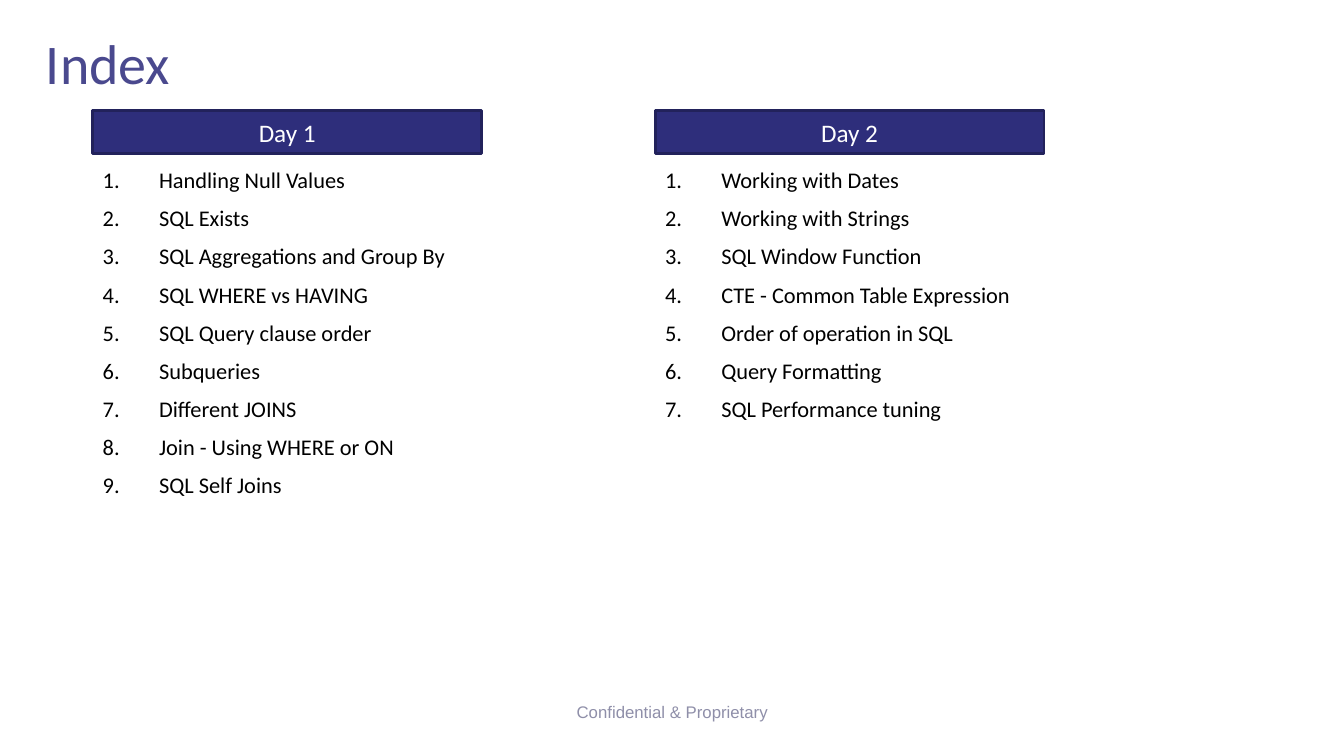
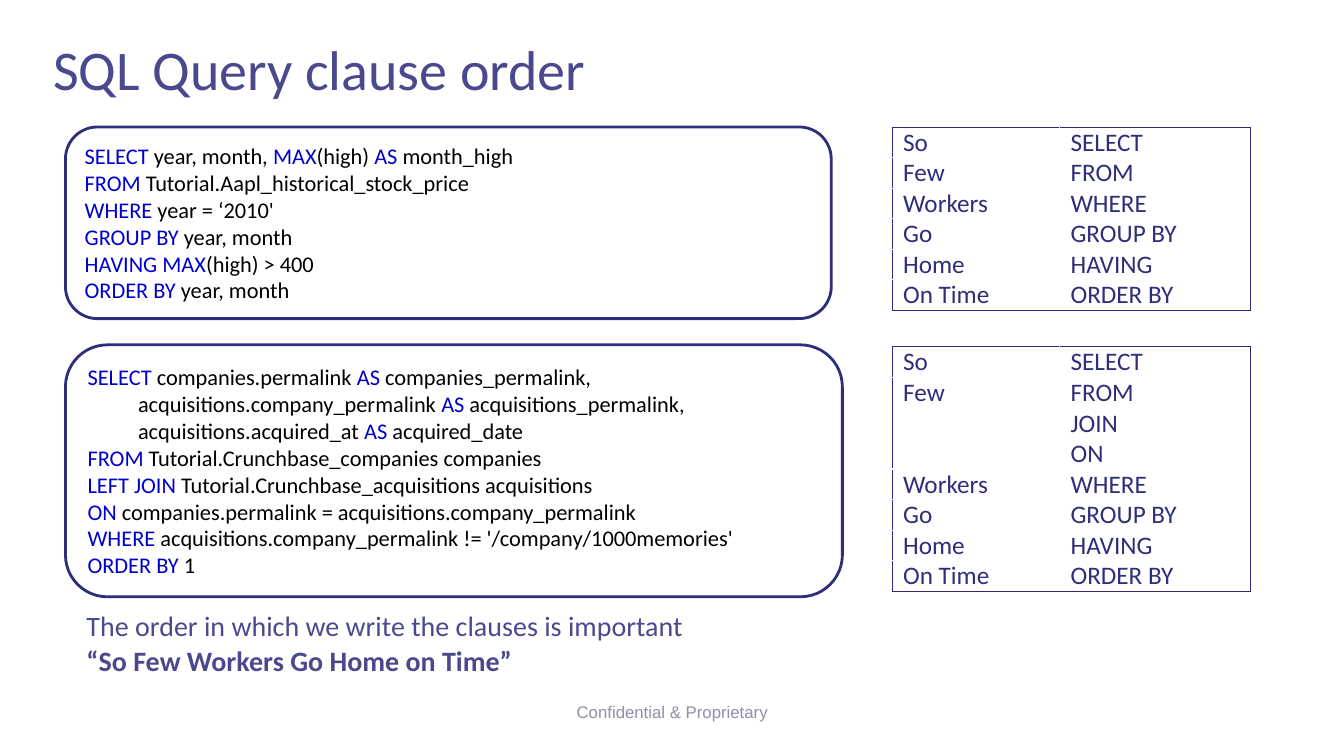
from dataclasses import dataclass

from lxml.etree import SubElement
from pptx import Presentation
from pptx.dml.color import RGBColor
from pptx.enum.shapes import MSO_SHAPE as Preset
from pptx.enum.text import MSO_ANCHOR as Anchor, PP_ALIGN as Align
from pptx.oxml.ns import qn
from pptx.shapes.autoshape import Shape
from pptx.slide import Slide
from pptx.table import _Cell as Cell
from pptx.util import Cm, Pt

# Shared style
NAVY, DARK_NAVY, BORDER = "2E2E7B", "22225B", "2B2B7A"
TITLE_COLOUR, FOOTER_COLOUR = "4A498E", "8F8FA9"
KEYWORD, BLACK, WHITE = "0000CD", "000000", "FFFFFF"
BODY_FONT, FOOTER_FONT = "Calibri", "Arial"
HANGING = Cm(1.42)
TABLE_LEFT, TABLE_COLUMNS = 22.48, (4.22, 4.8)
ROW_HEIGHT = 0.77


@dataclass(frozen=True)
class Box:
    left: float
    top: float
    width: float
    height: float

    def lengths(self) -> tuple[Cm, Cm, Cm, Cm]:
        return Cm(self.left), Cm(self.top), Cm(self.width), Cm(self.height)


@dataclass(frozen=True)
class Day:
    heading: str
    left: float
    topics: tuple[str, ...]


@dataclass(frozen=True)
class Query:
    box: Box
    code: str  # keywords stand between bars


@dataclass(frozen=True)
class Mnemonic:
    top: float
    rows: tuple[tuple[str, str], ...]


DAYS = (
    Day("Day 1", 2.34, (
        "Handling Null Values",
        "SQL Exists",
        "SQL Aggregations and Group By",
        "SQL WHERE vs HAVING",
        "SQL Query clause order",
        "Subqueries",
        "Different JOINS",
        "Join - Using WHERE or ON",
        "SQL Self Joins",
    )),
    Day("Day 2", 16.51, (
        "Working with Dates",
        "Working with Strings",
        "SQL Window Function",
        "CTE - Common Table Expression",
        "Order of operation in SQL",
        "Query Formatting",
        "SQL Performance tuning",
    )),
)

QUERIES = (
    Query(Box(1.65, 3.2, 19.3, 4.83), """\
|SELECT| year, month, |MAX|(high) |AS| month_high
|FROM| Tutorial.Aapl_historical_stock_price
|WHERE| year = ‘2010'
|GROUP BY| year, month
|HAVING MAX|(high) > 400
|ORDER BY| year, month"""),
    Query(Box(1.65, 8.69, 19.58, 6.35), """\
|SELECT| companies.permalink |AS| companies_permalink,
\tacquisitions.company_permalink |AS| acquisitions_permalink,
\tacquisitions.acquired_at |AS| acquired_date
|FROM| Tutorial.Crunchbase_companies companies
|LEFT JOIN| Tutorial.Crunchbase_acquisitions acquisitions
|ON| companies.permalink = acquisitions.company_permalink
|WHERE| acquisitions.company_permalink != '/company/1000memories'
|ORDER BY| 1"""),
)

FIRST_ROW = ("So", "SELECT")
LAST_ROWS = (
    ("Workers", "WHERE"),
    ("Go", "GROUP BY"),
    ("Home", "HAVING"),
    ("On Time", "ORDER BY"),
)
MNEMONICS = (
    Mnemonic(3.2, (FIRST_ROW, ("Few", "FROM"), *LAST_ROWS)),
    Mnemonic(8.74, (FIRST_ROW, ("Few", "FROM\nJOIN\nON"), *LAST_ROWS)),
)


def colour(value: str) -> RGBColor:
    return RGBColor.from_string(value)


def set_font(font, size: float, value: str, name: str = BODY_FONT) -> None:
    font.size, font.name = Pt(size), name
    font.color.rgb = colour(value)


def add_text(slide: Slide, box: Box, lines: tuple[str, ...], size: float,
             value: str, name: str = BODY_FONT, anchor: Anchor = Anchor.TOP) -> Shape:
    shape = slide.shapes.add_textbox(*box.lengths())
    frame = shape.text_frame
    frame.word_wrap = True
    frame.vertical_anchor = anchor
    frame.text = "\n".join(lines)
    for paragraph in frame.paragraphs:
        set_font(paragraph.font, size, value, name)
    return shape


def add_panel(slide: Slide, preset: Preset, box: Box, fill: str, line: str) -> Shape:
    shape = slide.shapes.add_shape(preset, *box.lengths())
    shape.shadow.inherit = False
    shape.fill.solid()
    shape.fill.fore_color.rgb = colour(fill)
    shape.line.color.rgb = colour(line)
    shape.line.width = Pt(2)
    return shape


def add_slide(presentation: Presentation, title: str, left: float, top: float) -> Slide:
    """Blank slide with the shared title and footer."""
    slide = presentation.slides.add_slide(presentation.slide_layouts[6])
    footer = add_text(slide, Box(11.23, 17.42, 11.43, 1.02), ("Confidential & Proprietary",),
                      12, FOOTER_COLOUR, FOOTER_FONT, Anchor.MIDDLE)
    footer.text_frame.paragraphs[0].alignment = Align.CENTER
    heading = add_text(slide, Box(left, top, 29.21, 1.85), (title,), 40, TITLE_COLOUR,
                       anchor=Anchor.MIDDLE)
    heading.text_frame.paragraphs[0].line_spacing = 0.9
    return slide


def add_day(slide: Slide, day: Day) -> None:
    # Heading band
    band = add_panel(slide, Preset.RECTANGLE, Box(day.left, 2.79, 9.8, 1.09), NAVY, DARK_NAVY)
    band.text_frame.text = day.heading
    paragraph = band.text_frame.paragraphs[0]
    paragraph.alignment = Align.CENTER
    set_font(paragraph.font, 18, WHITE)

    # Numbered topics
    topics = add_text(slide, Box(day.left, 4.14, 9.8, 12.7), day.topics, 16, BLACK)
    for index, paragraph in enumerate(topics.text_frame.paragraphs):
        paragraph.line_spacing = 0.9
        if index:
            paragraph.space_before = Pt(10)
        properties = paragraph._p.get_or_add_pPr()
        properties.set("marL", str(HANGING))
        properties.set("indent", str(-HANGING))
        number = properties.makeelement(qn("a:buAutoNum"), {"type": "arabicPeriod"})
        properties.find(qn("a:defRPr")).addprevious(number)


def add_query(slide: Slide, query: Query) -> None:
    panel = add_panel(slide, Preset.ROUNDED_RECTANGLE, query.box, WHITE, NAVY)
    frame = panel.text_frame
    frame.vertical_anchor = Anchor.MIDDLE
    for index, line in enumerate(query.code.splitlines()):
        paragraph = frame.add_paragraph() if index else frame.paragraphs[0]
        paragraph.alignment = Align.LEFT
        for part, text in enumerate(line.split("|")):
            if text:
                run = paragraph.add_run()
                run.text = text
                set_font(run.font, 16, KEYWORD if part % 2 else BLACK)


def add_border(cell: Cell, side: str) -> None:
    line = SubElement(cell._tc.get_or_add_tcPr(), qn(f"a:ln{side}"), w=str(Pt(0.75)))
    fill = SubElement(line, qn("a:solidFill"))
    SubElement(fill, qn("a:srgbClr"), val=BORDER)


def add_mnemonic(slide: Slide, mnemonic: Mnemonic) -> None:
    heights = [ROW_HEIGHT * (clause.count("\n") + 1) for _, clause in mnemonic.rows]
    box = Box(TABLE_LEFT, mnemonic.top, sum(TABLE_COLUMNS), sum(heights))
    table = slide.shapes.add_table(len(heights), len(TABLE_COLUMNS), *box.lengths()).table
    table.first_row = table.horz_banding = False
    for column, width in zip(table.columns, TABLE_COLUMNS):
        column.width = Cm(width)
    last = len(heights) - 1
    for row, texts in enumerate(mnemonic.rows):
        table.rows[row].height = Cm(heights[row])
        for column, text in enumerate(texts):
            cell = table.cell(row, column)
            cell.margin_left = Cm(0.28)
            cell.margin_right = cell.margin_top = cell.margin_bottom = 0
            # Outer frame only
            add_border(cell, "R" if column else "L")
            if row == 0:
                add_border(cell, "T")
            if row == last:
                add_border(cell, "B")
            cell.fill.background()
            cell.text = text
            for paragraph in cell.text_frame.paragraphs:
                set_font(paragraph.font, 18, NAVY)


def main() -> None:
    presentation = Presentation()
    presentation.slide_width, presentation.slide_height = Cm(33.87), Cm(19.05)

    # Index
    slide = add_slide(presentation, "Index", 0.91, 0.74)
    for day in DAYS:
        add_day(slide, day)

    # Clause order
    slide = add_slide(presentation, "SQL Query clause order", 1.09, 0.89)
    for query in QUERIES:
        add_query(slide, query)
    for mnemonic in MNEMONICS:
        add_mnemonic(slide, mnemonic)
    closing = add_text(slide, Box(1.93, 15.37, 29.21, 1.85), (
        "The order in which we write the clauses is important",
        "“So Few Workers Go Home on Time”",
    ), 20, TITLE_COLOUR)
    for paragraph in closing.text_frame.paragraphs:
        paragraph.line_spacing = 0.8
        paragraph.space_after = Pt(6)
    closing.text_frame.paragraphs[1].font.bold = True

    presentation.save("out.pptx")


if __name__ == "__main__":
    main()
